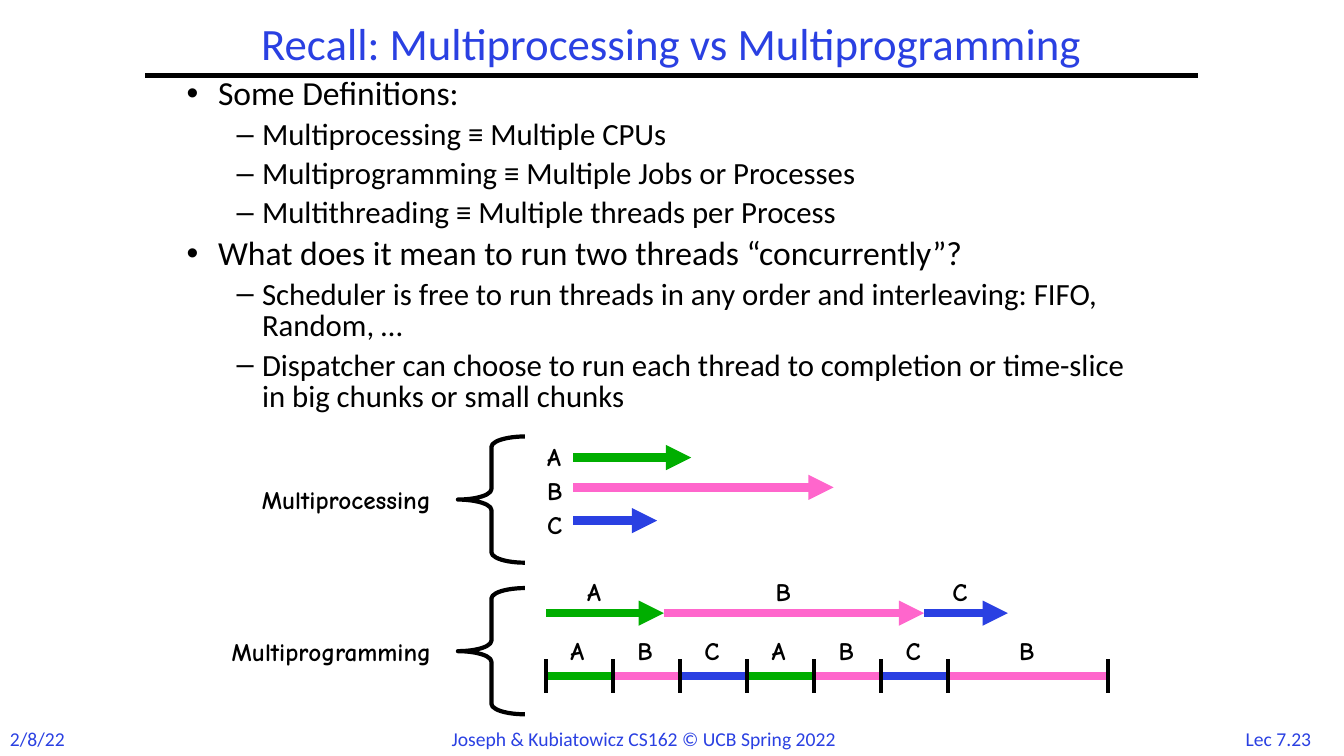
from pptx import Presentation
from pptx.dml.color import RGBColor
from pptx.enum.shapes import MSO_CONNECTOR, MSO_SHAPE
from pptx.enum.text import MSO_ANCHOR, MSO_AUTO_SIZE, PP_ALIGN
from pptx.oxml.ns import qn
from pptx.util import Cm, Pt
from lxml.etree import SubElement

HUES = {"ink": "000000", "blue": "2A40E2", "A": "00AE00", "B": "FF66CC", "C": "2A40E2"}
LOOKS = {
    "title": {"name": "Calibri", "size": Pt(32), "bold": False},
    "main": {"name": "Calibri", "size": Pt(24), "bold": False},
    "sub": {"name": "Calibri", "size": Pt(22), "bold": False},
    "foot": {"name": "Calibri", "size": Pt(14), "bold": False},
    "label": {"name": "Comic Neue", "size": Pt(18), "bold": True},
}

deck = Presentation()
deck.slide_width, deck.slide_height = Cm(33.87), Cm(19.05)
slide = deck.slides.add_slide(deck.slide_layouts[1])


def write(para, text, look, hue="ink"):
    run = para.add_run()
    run.text = text
    for key, val in LOOKS[look].items():
        setattr(run.font, key, val)
    run.font.color.rgb = RGBColor.from_string(HUES[hue])


def rule(x1, y1, x2, y2, hue="ink", width=3, head=False):
    line = slide.shapes.add_connector(
        MSO_CONNECTOR.STRAIGHT, Cm(x1), Cm(y1), Cm(x2), Cm(y2))
    line.line.color.rgb = RGBColor.from_string(HUES[hue])
    line.line.width = Pt(width)
    if head:
        SubElement(line.line._get_or_add_ln(), qn("a:tailEnd"), type="triangle")
    SubElement(line._element.spPr, qn("a:effectLst"))


# Title and the line below it
title, body = slide.shapes.title, slide.placeholders[1]
spots = [(title, 3.66, 0.43, 26.52, 1.47), (body, 4.45, 1.85, 24.2, 9.47)]
for holder, x, y, w, h in spots:
    holder.left, holder.top, holder.width, holder.height = Cm(x), Cm(y), Cm(w), Cm(h)
    holder.text_frame.auto_size = MSO_AUTO_SIZE.NONE
title.text_frame.vertical_anchor = MSO_ANCHOR.MIDDLE
para = title.text_frame.paragraphs[0]
para.alignment = PP_ALIGN.CENTER
para.line_spacing = 0.9
write(para, "Recall: Multiprocessing vs Multiprogramming", "title", "blue")
rule(3.66, 1.9, 30.2, 1.9)

# Bullet list: level and text
points = [
    (0, "Some Definitions:"),
    (1, "Multiprocessing ≡ Multiple CPUs"),
    (1, "Multiprogramming ≡ Multiple Jobs or Processes"),
    (1, "Multithreading ≡ Multiple threads per Process"),
    (0, "What does it mean to run two threads “concurrently”?"),
    (1, "Scheduler is free to run threads in any order and interleaving: "
        "FIFO, Random, …"),
    (1, "Dispatcher can choose to run each thread to completion or "
        "time-slice in big chunks or small chunks"),
]
frame = body.text_frame
for num, (level, text) in enumerate(points):
    para = frame.add_paragraph() if num else frame.paragraphs[0]
    para.level = level
    para.line_spacing = 0.85
    para.space_before = Pt((6, 5.5)[level])
    props = para._p.get_or_add_pPr()
    props.set("marL", str(Cm((0.79, 1.9)[level])))
    props.set("indent", str(-Cm((0.79, 0.64)[level])))
    write(para, text, ("main", "sub")[level])

# Text boxes: text, left, top, width, look, colour, alignment
left, mid = PP_ALIGN.LEFT, PP_ALIGN.CENTER
notes = [
    ("2/8/22", 0, 18.19, 1.9, "foot", "blue", left),
    ("Joseph & Kubiatowicz CS162 © UCB Spring 2022", 11.13, 18.19, 11.56,
     "foot", "blue", left),
    ("Lec 7.23", 30.99, 18.19, 2.46, "foot", "blue", mid),
]

# Braces with their names
groups = [("Multiprocessing", 6.35, 5.18, 11), ("Multiprogramming", 5.59, 5.84, 14.82)]
for name, x, w, top in groups:
    brace = slide.shapes.add_shape(
        MSO_SHAPE.LEFT_BRACE, Cm(11.54), Cm(top), Cm(1.69), Cm(3.18))
    brace.adjustments[0], brace.adjustments[1] = 0.156, 0.5
    brace.fill.background()
    brace.line.color.rgb = RGBColor.from_string(HUES["ink"])
    brace.line.width = Pt(3)
    brace.shadow.inherit = False
    notes.append((name, x, top + 1.08, w, "label", "ink", left))

# Threads side by side, then one after the other
threads = [("A", 2.97, 11.53, 14.55), ("B", 6.56, 12.28, 19.3), ("C", 2.11, 13.12, 23.75)]
start = 13.76
for row, (name, size, y, x) in enumerate(threads):
    rule(14.45, y, 14.45 + size, y, name, 6, True)
    rule(start, 15.45, start + size, 15.45, name, 6, True)
    notes.append((name, 13.54, 11 + 0.85 * row, 0.93, "label", "ink", left))
    notes.append((name, x, 14.4, 0.93, "label", "ink", left))
    start += size

# Time slices: six equal ones and a long last one
order = "ABCABCB"
edges = [13.76 + 1.69 * num for num in range(len(order))] + [27.93]
for name, x1, x2 in zip(order, edges, edges[1:]):
    rule(x1, 17.03, x2, 17.03, name, 6)
    notes.append((name, (x1 + x2) / 2 - 0.48, 15.88, 0.93, "label", "ink", left))
for x in edges:
    rule(x, 16.61, x, 17.45)

# Place all text boxes
for text, x, y, w, look, hue, align in notes:
    high = 0.86 if look == "foot" else 1.02
    frame = slide.shapes.add_textbox(Cm(x), Cm(y), Cm(w), Cm(high)).text_frame
    frame.word_wrap = False
    frame.auto_size = MSO_AUTO_SIZE.SHAPE_TO_FIT_TEXT
    frame.paragraphs[0].alignment = align
    write(frame.paragraphs[0], text, look, hue)

deck.save("out.pptx")
